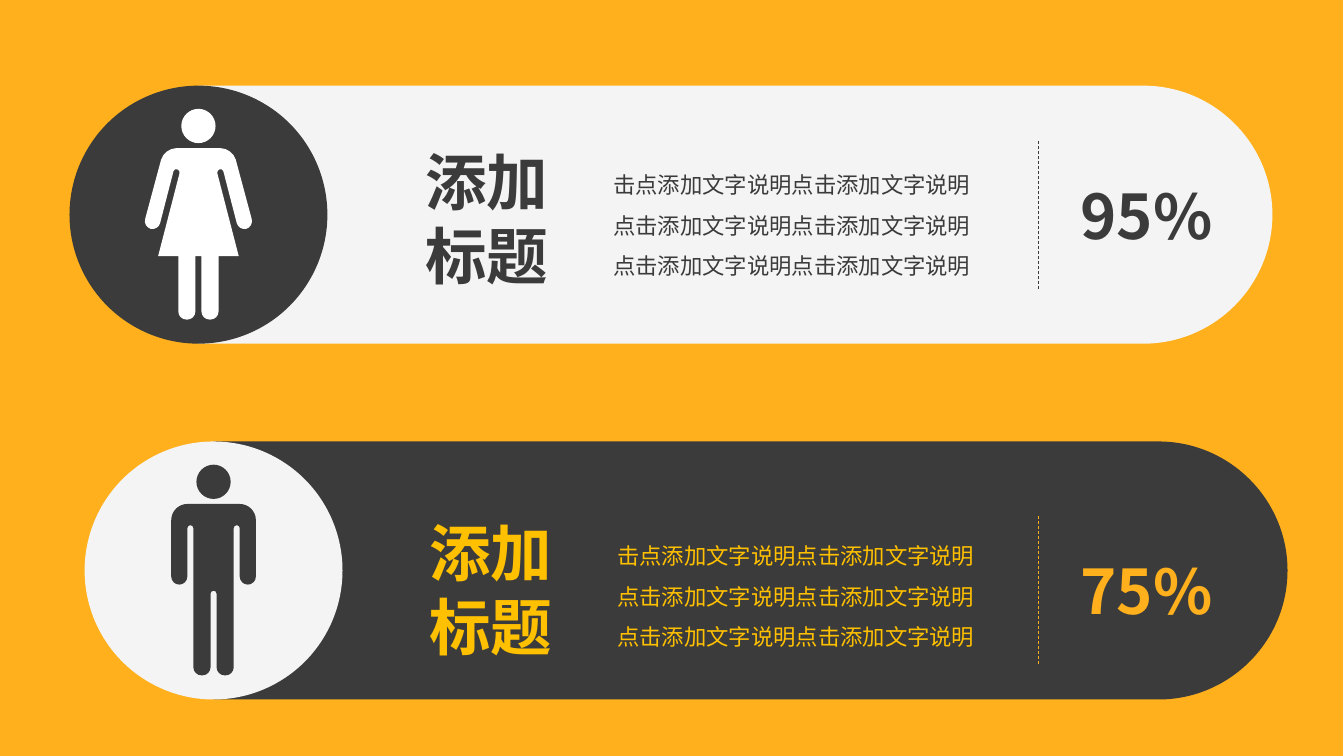
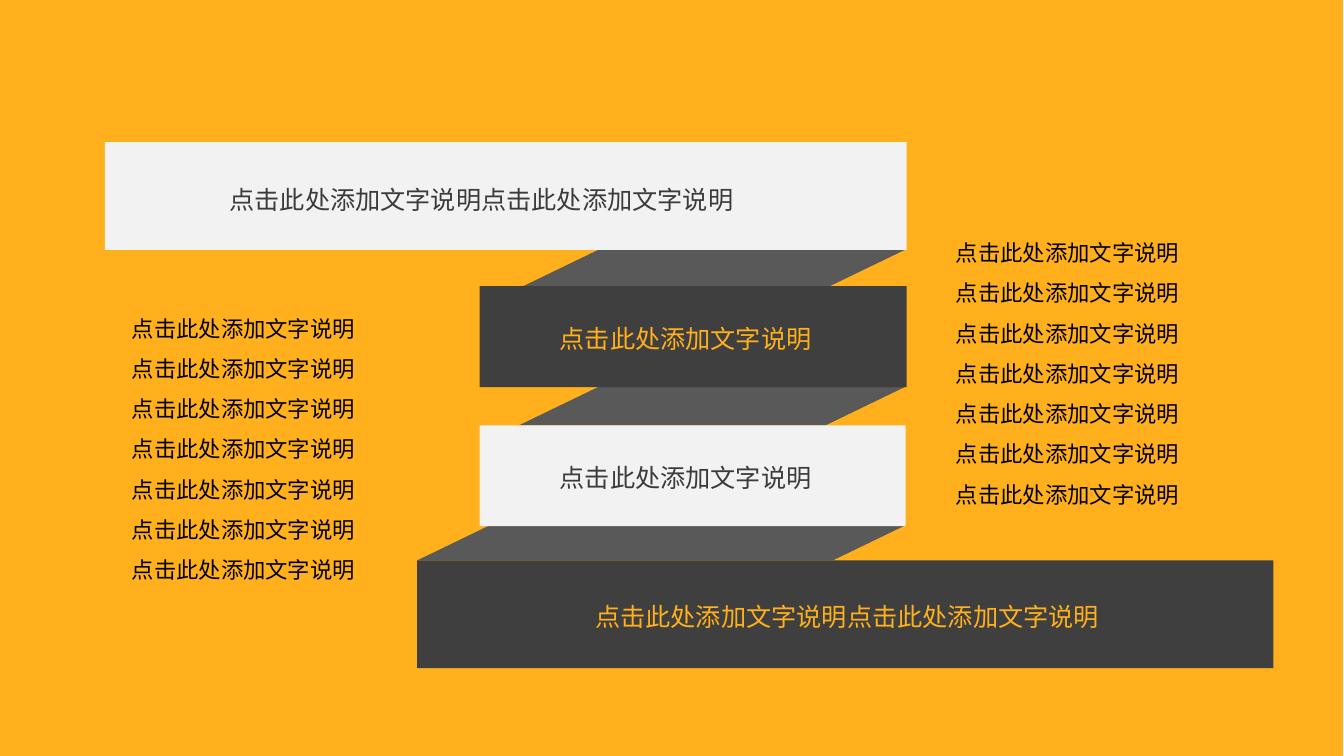
from lxml.etree import SubElement
from pptx import Presentation
from pptx.dml.color import RGBColor
from pptx.enum.dml import MSO_LINE_DASH_STYLE as Dash
from pptx.enum.shapes import MSO_CONNECTOR as Connector, MSO_SHAPE as Preset
from pptx.enum.text import MSO_AUTO_SIZE as AutoSize, PP_ALIGN as Align
from pptx.oxml.ns import qn
from pptx.util import Inches, Pt

COLORS = {
    "amber": "FFB01C",
    "gold": "FFC000",
    "charcoal": "3B3B3B",
    "band_dark": "3F3F3F",
    "fold": "595959",
    "pill_light": "F4F4F4",
    "band_light": "F2F2F2",
    "white": "FFFFFF",
    "black": "000000",
}
CJK_FONT = "Noto Sans CJK SC"
BODY_FONT = "Karla"

PROMPT = "点击此处添加文字说明"
ROW_LINES = ["击点添加文字说明点击添加文字说明"] + ["点击添加文字说明点击添加文字说明"] * 2

PILL_HEIGHT = 2.56
PILL_LENGTH = 10.66
DIVIDER_LEFT = 10.31
DIVIDER_LENGTH = 1.47
HEAD_RADIUS = 0.17
CURVE_HANDLE = 0.45

WOMAN_HALF = [
    (0.34, 0.39, 0.12), (0.55, 1.17, 0.08), (0.4, 1.21, 0.08),
    (0.24, 0.59, 0.03), (0.18, 0.61, 0.03), (0.4, 1.46, 0),
    (0.2, 1.46, 0), (0.2, 2.09, 0.08), (0.03, 2.09, 0.08), (0.03, 1.46, 0),
]
MAN_HALF = [
    (0.42, 0.39, 0.16), (0.42, 1.19, 0.08), (0.26, 1.19, 0.08),
    (0.26, 0.6, 0.03), (0.2, 0.6, 0.03), (0.2, 2.09, 0.08),
    (0.03, 2.09, 0.08), (0.03, 1.25, 0.03),
]


def color(name):
    return RGBColor.from_string(COLORS[name])


def paint(shape, fill):
    shape.shadow.inherit = False
    shape.fill.solid()
    shape.fill.fore_color.rgb = color(fill)
    shape.line.fill.background()
    return shape


def add_preset(page, preset, left, top, width, height, fill):
    lengths = [Inches(value) for value in (left, top, width, height)]
    return paint(page.shapes.add_shape(preset, *lengths), fill)


def add_text(page, lines, left, top, width, height, size=16, fill="black",
             font=CJK_FONT, bold=False, align=Align.LEFT, spacing=1.0):
    box = page.shapes.add_textbox(Inches(left), Inches(top), Inches(width), Inches(height))
    frame = box.text_frame
    frame.word_wrap = True
    frame.auto_size = AutoSize.SHAPE_TO_FIT_TEXT
    for index, line in enumerate(lines):
        para = frame.add_paragraph() if index else frame.paragraphs[0]
        para.alignment = align
        para.line_spacing = spacing
        span = para.add_run()
        span.text = line
        span.font.size = Pt(size)
        span.font.bold = bold
        span.font.color.rgb = color(fill)
        span.font.name = font
        SubElement(span.font._element, qn("a:ea"), typeface=CJK_FONT)


def toward(start, end, distance):
    span_x, span_y = end[0] - start[0], end[1] - start[1]
    share = distance / (span_x ** 2 + span_y ** 2) ** 0.5
    return start[0] + span_x * share, start[1] + span_y * share


def corner_points(before, corner, after):
    inset = corner[2]
    if not inset:
        return [corner[:2]]
    handle = inset * CURVE_HANDLE
    return [toward(corner, before, inset), toward(corner, before, handle),
            toward(corner, after, handle), toward(corner, after, inset)]


def bend_corners(shape, corners):
    nodes = [node for node in shape._element.iter(qn("a:moveTo"), qn("a:lnTo"))]
    position = 0
    for corner in corners:
        if corner[2]:
            curve, *rest = nodes[position + 1:position + 4]
            curve.tag = qn("a:cubicBezTo")
            for node in rest:
                curve.append(node[0])
                node.getparent().remove(node)
        position += 4 if corner[2] else 1


def add_outline(page, contours, left, top, fill):
    builder = None
    for corners in contours:
        placed = []
        for index, corner in enumerate(corners):
            after = corners[(index + 1) % len(corners)]
            placed += [(Inches(left + x), Inches(top + y))
                       for x, y in corner_points(corners[index - 1], corner, after)]
        if builder is None:
            builder = page.shapes.build_freeform(*placed[0], scale=1.0)
        else:
            builder.move_to(*placed[0])
        builder.add_line_segments(placed[1:], close=True)
    shape = paint(builder.convert_to_shape(), fill)
    bend_corners(shape, [corner for corners in contours for corner in corners])


def add_figure(page, half, center, top, fill):
    body = half + [(-x, y, inset) for x, y, inset in reversed(half)]
    size = 2 * HEAD_RADIUS
    head = [(x, y, HEAD_RADIUS) for x, y in [(HEAD_RADIUS, 0), (HEAD_RADIUS, size),
                                             (-HEAD_RADIUS, size), (-HEAD_RADIUS, 0)]]
    add_outline(page, [body, head], center, top, fill)


def add_divider(page, left, top, length, stroke):
    line = page.shapes.add_connector(Connector.STRAIGHT, Inches(left), Inches(top),
                                     Inches(left), Inches(top + length))
    line.line.color.rgb = color(stroke)
    line.line.width = Pt(0.5)
    line.line.dash_style = Dash.DASH
    SubElement(line._element.spPr, qn("a:effectLst"))


def add_pill_row(page, left, top, half, percent, text_at, divider_drop,
                 pill, disc, figure, text, accent):
    radius = PILL_HEIGHT / 2
    center = left + radius
    corners = [(0, 0, 0), (PILL_LENGTH, 0, radius),
               (PILL_LENGTH, PILL_HEIGHT, radius), (0, PILL_HEIGHT, 0)]
    add_outline(page, [corners], center, top, pill)
    add_preset(page, Preset.FLOWCHART_CONNECTOR, left, top, PILL_HEIGHT, PILL_HEIGHT, disc)
    add_figure(page, half, center, top + 0.23, figure)

    text_left, text_top = left + text_at[0], top + text_at[1]
    divider_top = top + divider_drop
    add_divider(page, DIVIDER_LEFT, divider_top, DIVIDER_LENGTH, accent)
    add_text(page, ["添加标题"], text_left, text_top, 1.52, 1.57,
             size=44, fill=text, bold=True)
    add_text(page, ROW_LINES, text_left + 1.87, text_top + 0.14, 4.03, 1.3,
             fill=text, font=BODY_FONT, spacing=1.5)
    add_text(page, [percent], DIVIDER_LEFT + 0.06, divider_top + 0.32, 2.02, 0.84,
             size=44, fill=accent, bold=True, align=Align.CENTER)


def add_band(page, left, top, width, height, fill, text, text_fill, text_at, text_width, align):
    add_preset(page, Preset.RECTANGLE, left, top, width, height, fill)
    add_text(page, [text], left + text_at[0], top + text_at[1], text_width, 0.4,
             size=18, fill=text_fill, align=align)


def add_fold(page, left, top, width, height):
    fold = add_preset(page, Preset.PARALLELOGRAM, left, top, width, height, "fold")
    fold.adjustments[0] = 2.07


def add_page(deck):
    page = deck.slides.add_slide(deck.slide_layouts[6])
    add_preset(page, Preset.RECTANGLE, 0, 0, 13.33, 7.5, "amber")
    return page


def build_comparison(page):
    add_pill_row(page, 0.69, 0.85, WOMAN_HALF, "95%", (3.43, 0.53), 0.55,
                 pill="pill_light", disc="charcoal", figure="white",
                 text="charcoal", accent="charcoal")
    add_pill_row(page, 0.84, 4.38, MAN_HALF, "75%", (3.32, 0.68), 0.74,
                 pill="charcoal", disc="pill_light", figure="charcoal",
                 text="gold", accent="amber")


def build_ribbon(page):
    for fold in [(5.17, 2.47, 3.83, 0.38), (5.15, 3.84, 3.83, 0.38), (4.14, 5.21, 4.85, 0.35)]:
        add_fold(page, *fold)
    light, dark = ("band_light", "charcoal"), ("band_dark", "amber")
    long_text = (PROMPT * 2, 5.46, Align.LEFT)
    short_text = (PROMPT, 2.93, Align.CENTER)
    bands = [
        ((1.04, 1.41, 7.96, 1.07), light, long_text, (1.14, 0.37)),
        ((4.76, 2.84, 4.24, 1), dark, short_text, (0.58, 0.32)),
        ((4.76, 4.22, 4.23, 1), light, short_text, (0.58, 0.32)),
        ((4.14, 5.56, 8.5, 1.07), dark, long_text, (1.67, 0.36)),
    ]
    for area, (fill, text_fill), (text, text_width, align), text_at in bands:
        add_band(page, *area, fill, text, text_fill, text_at, text_width, align)
    for left, top in [(9.39, 2.19), (1.21, 2.94)]:
        add_text(page, [PROMPT] * 7, left, top, 2.79, 2.9, spacing=1.5)


def main():
    deck = Presentation()
    deck.slide_width, deck.slide_height = Inches(13.34), Inches(7.5)
    for build in (build_comparison, build_ribbon):
        build(add_page(deck))
    deck.save("out.pptx")


if __name__ == "__main__":
    main()
